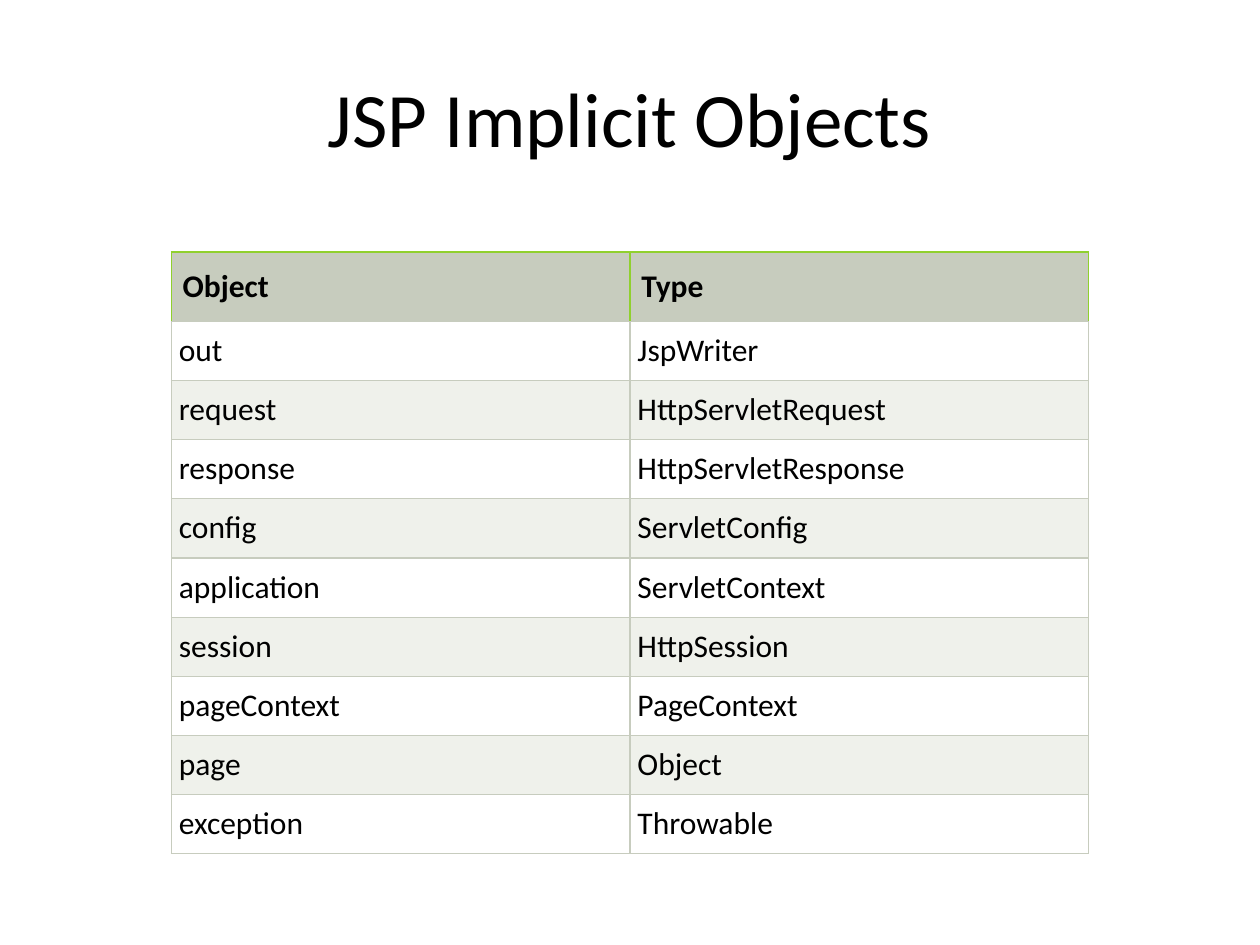
from typing import NamedTuple

from lxml import etree
from pptx import Presentation
from pptx.dml.color import RGBColor
from pptx.enum.text import MSO_ANCHOR, PP_ALIGN
from pptx.oxml.ns import qn
from pptx.util import Inches, Pt

LEFT, CENTER, JUSTIFY = PP_ALIGN.LEFT, PP_ALIGN.CENTER, PP_ALIGN.JUSTIFY
TOP, MIDDLE = MSO_ANCHOR.TOP, MSO_ANCHOR.MIDDLE

SLIDE_W, SLIDE_H = 10, 7.5
FONT = "Calibri"
BLACK, WHITE = "000000", "FFFFFF"
SAGE, PALE_SAGE, LIME = "C7CCBE", "EFF1EB", "90D02E"

# Table grid, in inches
COLUMN_W = 3.64
HEADER_H, ROW_H = 0.55, 0.47
TABLE_TOP = 2
BORDER_PT = 0.75


class RowStyle(NamedTuple):
    fill: str
    borders: dict[str, str]
    margin_x: float
    margin_y: float
    align: PP_ALIGN
    bold: bool


class ImplicitObject(NamedTuple):
    name: str
    type_name: str


GRID_BORDERS = dict.fromkeys("LRTB", SAGE)
HEADER = RowStyle(SAGE, {"L": LIME, "R": LIME, "T": LIME, "B": SAGE},
                  0.09, 0.12, LEFT, True)
ODD_ROW = RowStyle(WHITE, GRID_BORDERS, 0.06, 0.08, JUSTIFY, False)
EVEN_ROW = ODD_ROW._replace(fill=PALE_SAGE)

HEADINGS = ImplicitObject("Object", "Type")
IMPLICIT_OBJECTS = [
    ImplicitObject("out", "JspWriter"),
    ImplicitObject("request", "HttpServletRequest"),
    ImplicitObject("response", "HttpServletResponse"),
    ImplicitObject("config", "ServletConfig"),
    ImplicitObject("application", "ServletContext"),
    ImplicitObject("session", "HttpSession"),
    ImplicitObject("pageContext", "PageContext"),
    ImplicitObject("page", "Object"),
    ImplicitObject("exception", "Throwable"),
]


def color(value: str) -> RGBColor:
    return RGBColor.from_string(value)


def write(frame, text: str, size: float, align: PP_ALIGN, bold: bool = False) -> None:
    paragraph = frame.paragraphs[0]
    paragraph.alignment = align
    run = paragraph.add_run()
    run.text = text
    run.font.name = FONT
    run.font.size = Pt(size)
    run.font.bold = bold
    run.font.color.rgb = color(BLACK)


def add_borders(cell, borders: dict[str, str]) -> None:
    properties = cell._tc.get_or_add_tcPr()
    for side, value in borders.items():
        line = etree.SubElement(properties, qn(f"a:ln{side}"), w=str(Pt(BORDER_PT)))
        fill = etree.SubElement(line, qn("a:solidFill"))
        etree.SubElement(fill, qn("a:srgbClr"), val=value)


def fill_row(row, texts: ImplicitObject, style: RowStyle) -> None:
    for cell, text in zip(row.cells, texts):
        cell.margin_left = cell.margin_right = Inches(style.margin_x)
        cell.margin_top = cell.margin_bottom = Inches(style.margin_y)
        cell.vertical_anchor = TOP
        add_borders(cell, style.borders)
        cell.fill.solid()
        cell.fill.fore_color.rgb = color(style.fill)
        write(cell.text_frame, text, 18, style.align, style.bold)


def add_title(slide, text: str) -> None:
    width = 0.9 * SLIDE_W
    box = slide.shapes.add_textbox(Inches((SLIDE_W - width) / 2), Inches(0.04 * SLIDE_H),
                                   Inches(width), Inches(SLIDE_H / 6))
    box.text_frame.word_wrap = True
    box.text_frame.vertical_anchor = MIDDLE
    write(box.text_frame, text, 44, CENTER)


def add_object_table(slide) -> None:
    columns = len(HEADINGS)
    width = columns * COLUMN_W
    height = HEADER_H + len(IMPLICIT_OBJECTS) * ROW_H
    table = slide.shapes.add_table(
        len(IMPLICIT_OBJECTS) + 1, columns, Inches((SLIDE_W - width) / 2),
        Inches(TABLE_TOP), Inches(width), Inches(height)).table
    for column in table.columns:
        column.width = Inches(COLUMN_W)

    # Header, then rows in alternating bands
    for index, texts in enumerate([HEADINGS, *IMPLICIT_OBJECTS]):
        row = table.rows[index]
        row.height = Inches(ROW_H if index else HEADER_H)
        band = ODD_ROW if index % 2 else EVEN_ROW
        fill_row(row, texts, band if index else HEADER)


def main() -> None:
    deck = Presentation()
    deck.slide_width, deck.slide_height = Inches(SLIDE_W), Inches(SLIDE_H)
    slide = deck.slides.add_slide(deck.slide_layouts[6])
    add_title(slide, "JSP Implicit Objects")
    add_object_table(slide)
    deck.save("out.pptx")


if __name__ == "__main__":
    main()
